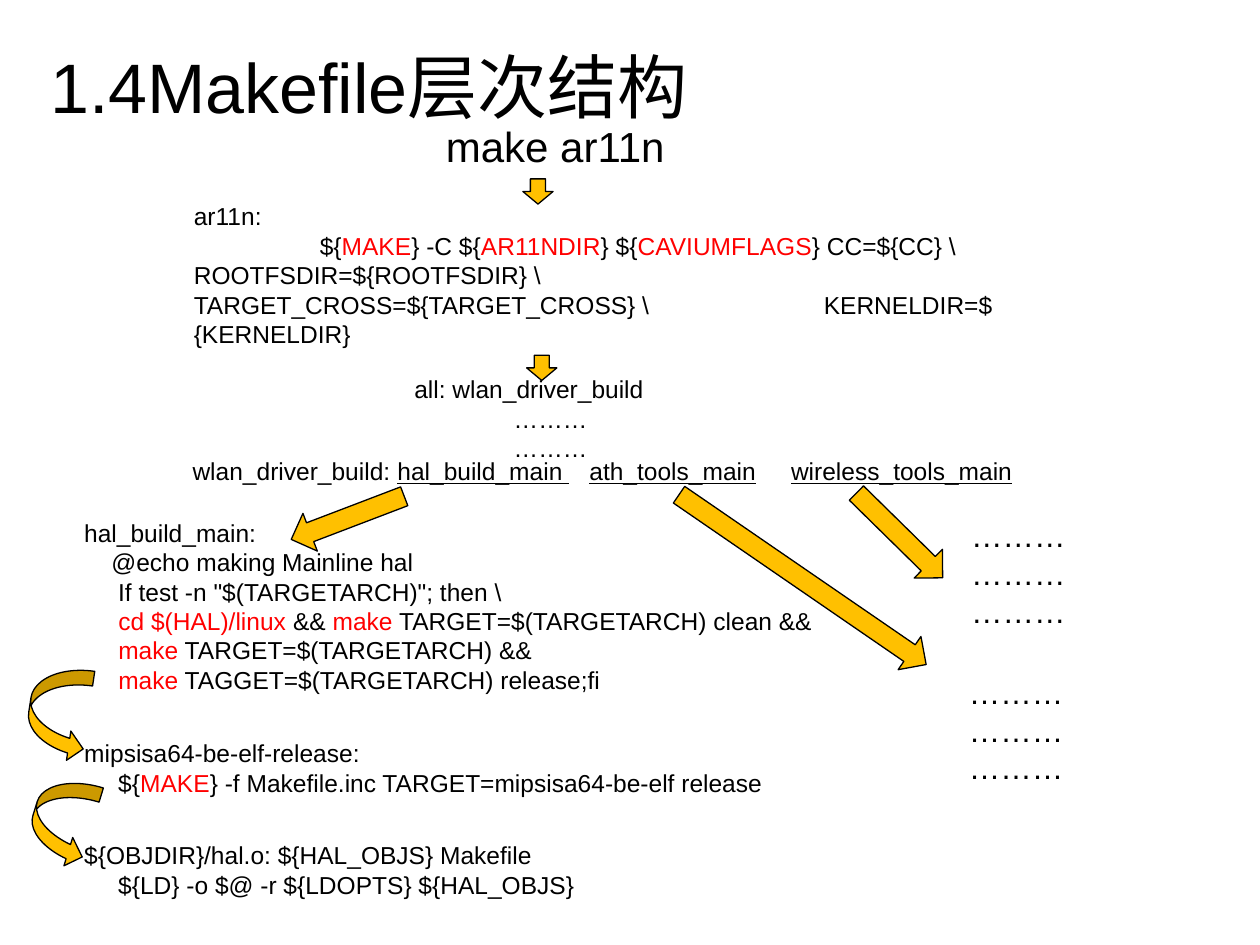
from dataclasses import dataclass

from lxml import etree
from pptx import Presentation
from pptx.dml.color import RGBColor
from pptx.enum import shapes, text
from pptx.oxml import ns
from pptx.util import Inches, Pt

HUES = {"ink": "000000", "red": "FF0000", "gold": "FFC000"}
FRAME = {
    "word_wrap": True,
    "auto_size": text.MSO_AUTO_SIZE.SHAPE_TO_FIT_TEXT,
    "vertical_anchor": text.MSO_ANCHOR.TOP,
}
STOPS = tuple(range(1, 8))
DOWN = shapes.MSO_SHAPE.DOWN_ARROW
CURVE = shapes.MSO_SHAPE.CURVED_RIGHT_ARROW


@dataclass
class Run:
    words: str
    hue: str = "ink"
    under: bool = False


@dataclass
class Line:
    runs: list[Run]
    mid: bool = False


@dataclass
class Block:
    box: tuple[float, float, float, float]
    lines: list[Line]
    size: int = 14
    stops: tuple[float, ...] = STOPS


@dataclass
class Arrow:
    box: tuple[float, float, float, float]
    turn: float = 0
    kind: shapes.MSO_SHAPE = DOWN


def red(words: str) -> Run:
    return Run(words, "red")


def link(words: str) -> Run:
    return Run(words, under=True)


def row(*parts: str | Run, mid: bool = False) -> Line:
    return Line([Run(p) if isinstance(p, str) else p for p in parts], mid)


def paint(hue: str) -> RGBColor:
    return RGBColor.from_string(HUES[hue])


def add_tabs(para, stops: tuple[float, ...]) -> None:
    tabs = etree.SubElement(para._p.get_or_add_pPr(), ns.qn("a:tabLst"))
    for stop in stops:
        etree.SubElement(tabs, ns.qn("a:tab"), pos=str(Inches(stop)), algn="l")


def draw_block(slide, block: Block) -> None:
    frame = slide.shapes.add_textbox(*map(Inches, block.box)).text_frame
    for name, value in FRAME.items():
        setattr(frame, name, value)
    for spot, line in enumerate(block.lines):
        para = frame.add_paragraph() if spot else frame.paragraphs[0]
        if any("\t" in part.words for part in line.runs):
            add_tabs(para, block.stops)
        para.alignment = text.PP_ALIGN.CENTER if line.mid else text.PP_ALIGN.LEFT
        for part in line.runs:
            run = para.add_run()
            run.text = part.words
            look = {"name": "Arial", "size": Pt(block.size), "underline": part.under}
            for name, value in look.items():
                setattr(run.font, name, value)
            run.font.color.rgb = paint(part.hue)


def draw_arrow(slide, arrow: Arrow) -> None:
    shape = slide.shapes.add_shape(arrow.kind, *map(Inches, arrow.box))
    shape.rotation = arrow.turn
    shape.shadow.inherit = False
    shape.fill.solid()
    shape.fill.fore_color.rgb = paint("gold")
    shape.line.color.rgb = paint("ink")
    shape.line.width = Pt(0.75)


DOTS = "………"
BLOCKS = [
    Block((0.3, 0.3, 5.88, 0.77), [row("1.4Makefile层次结构")], 40),
    Block((3.44, 0.91, 2.43, 0.5), [row("make ar11n")], 24),
    Block((1.44, 1.55, 6.57, 1.27), [
        row("ar11n:"),
        row("\t${", red("MAKE"), "} -C ${", red("AR11NDIR"), "} ${",
            red("CAVIUMFLAGS"),
            "} CC=${CC} \\\tROOTFSDIR=${ROOTFSDIR} \\\t\t\t"
            "TARGET_CROSS=${TARGET_CROSS} \\\t\tKERNELDIR=${KERNELDIR}"),
    ]),
    Block((3.19, 2.92, 2.36, 0.8), [
        row("all: wlan_driver_build"),
        row(DOTS, mid=True),
        row(DOTS, mid=True),
    ]),
    Block((1.43, 3.57, 6.83, 0.34), [
        row("wlan_driver_build: ", link("hal_build_main "), "\t",
            link("ath_tools_main"), "\t", link("wireless_tools_main")),
    ], stops=(3.15, 4.75)),
    Block((0.57, 4.06, 6.36, 1.5), [
        row("hal_build_main:"),
        row("    @echo making Mainline hal"),
        row('     If test -n "$(TARGETARCH)"; then \\'),
        row("     ", red("cd $(HAL)/linux "), "&& ", red("make"),
            " TARGET=$(TARGETARCH) clean &&"),
        row("     ", red("make"), " TARGET=$(TARGETARCH) &&"),
        row("     ", red("make"), " TAGGET=$(TARGETARCH) release;fi"),
    ]),
    Block((0.57, 5.81, 5.61, 0.57), [
        row("mipsisa64-be-elf-release:"),
        row("     ${", red("MAKE"),
            "} -f Makefile.inc TARGET=mipsisa64-be-elf release"),
    ]),
    Block((0.57, 6.62, 5.38, 0.57), [
        row("${OBJDIR}/hal.o: ${HAL_OBJS} Makefile"),
        row("     ${LD} -o $@ -r ${LDOPTS} ${HAL_OBJS}"),
    ]),
    Block((7.59, 5.29, 1.18, 1), [row(DOTS * 3)], 18),
    Block((7.61, 4.05, 1.18, 1), [row(DOTS * 3)], 18),
]
ARROWS = [
    Arrow((4.15, 1.42, 0.24, 0.2)),
    Arrow((4.18, 2.82, 0.24, 0.2)),
    Arrow((2.6, 3.63, 0.32, 0.96), 69.1),
    Arrow((6.21, 3.41, 0.32, 2.38), 304.5),
    Arrow((6.98, 3.77, 0.32, 0.96), 314.5),
    Arrow((0.26, 6.17, 0.47, 0.69), 17.1, CURVE),
    Arrow((0.23, 5.29, 0.47, 0.74), 8.5, CURVE),
]


def main() -> None:
    deck = Presentation()
    deck.slide_width, deck.slide_height = Inches(10), Inches(7.5)
    slide = deck.slides.add_slide(deck.slide_layouts[6])
    for block in BLOCKS:
        draw_block(slide, block)
    for arrow in ARROWS:
        draw_arrow(slide, arrow)
    deck.save("out.pptx")


if __name__ == "__main__":
    main()
